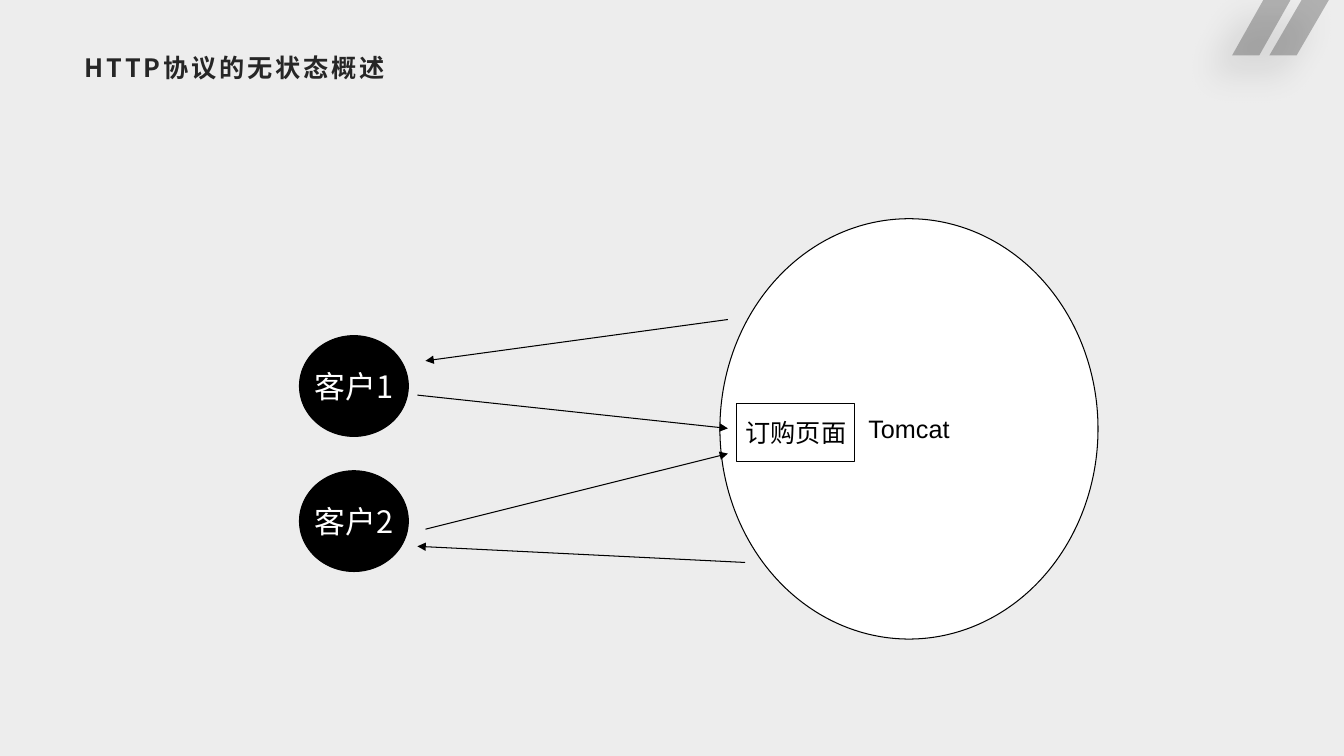
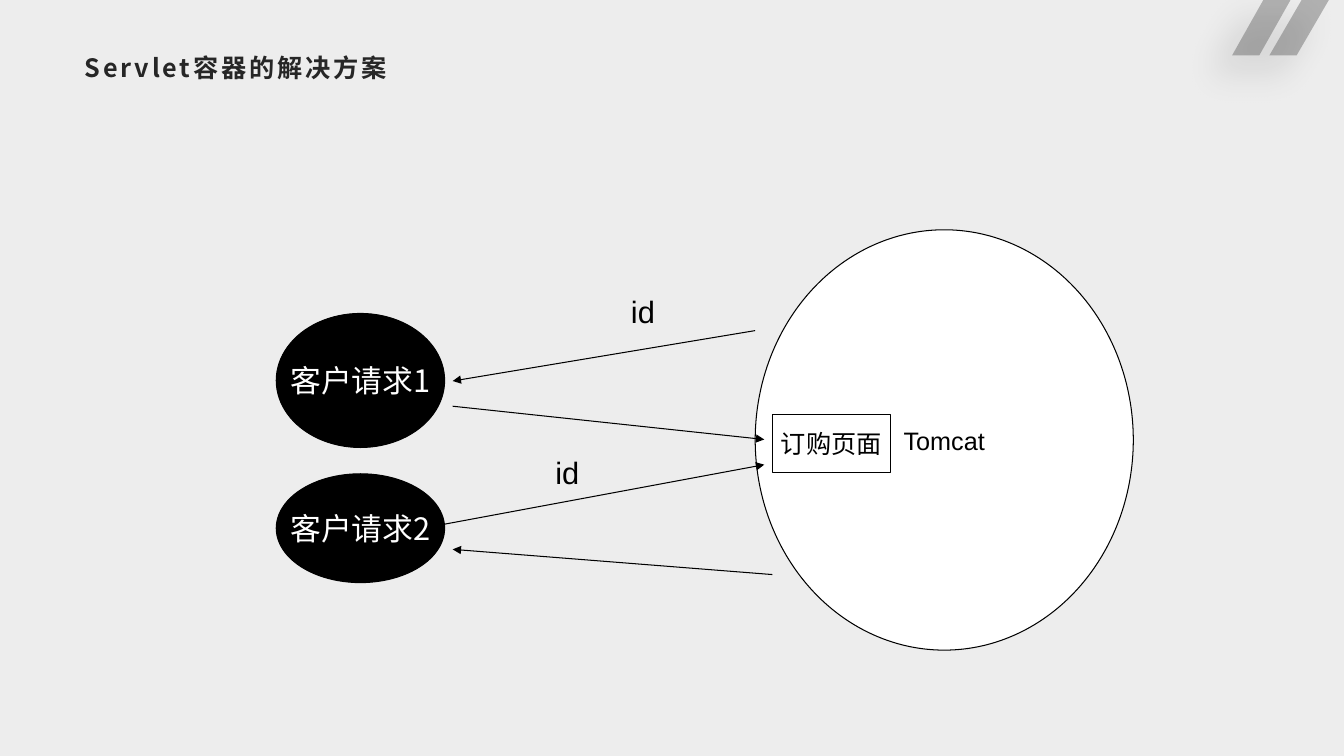
from lxml import etree
from pptx import Presentation
from pptx.dml.color import RGBColor
from pptx.enum import shapes, text
from pptx.oxml import ns
from pptx.util import Inches, Pt

PAPER = RGBColor(0xED, 0xED, 0xED)
INK = RGBColor(0x26, 0x26, 0x26)
BLACK = RGBColor(0, 0, 0)
WHITE = RGBColor(0xFF, 0xFF, 0xFF)
LATIN = "Arial"
CJK = "Noto Sans CJK SC"
OVAL = shapes.MSO_SHAPE.OVAL
RECTANGLE = shapes.MSO_SHAPE.RECTANGLE


def child(parent, tag, **attributes):
    return etree.SubElement(parent, ns.qn(tag), attributes)


class Deck:
    def __init__(self):
        self.prs = Presentation()
        self.prs.slide_width = Inches(13.33)
        self.prs.slide_height = Inches(7.5)
        self.slide = None

    def new_slide(self, title):
        self.slide = self.prs.slides.add_slide(self.prs.slide_layouts[6])
        fill = self.slide.background.fill
        fill.solid()
        fill.fore_color.rgb = PAPER
        self.corner_mark()
        self.title(title)

    def corner_mark(self):
        height = 0.55
        builder = None
        for top_left, bottom_left in ((12.91, 12.59), (12.53, 12.22)):
            outline = [(top_left, 0), (top_left + 0.27, 0),
                       (bottom_left + 0.27, height), (bottom_left, height)]
            points = [(Inches(x), Inches(y)) for x, y in outline]
            if builder is None:
                builder = self.slide.shapes.build_freeform(*points[0])
            else:
                builder.move_to(*points[0])
            builder.add_line_segments(points[1:], close=True)
        stripes = builder.convert_to_shape()
        stripes.fill.solid()
        stripes.fill.fore_color.rgb = INK
        stripes.line.fill.background()
        stripes.shadow.inherit = False
        properties = stripes.element.spPr
        child(properties.find(".//" + ns.qn("a:srgbClr")), "a:alpha", val="30000")
        shadow = child(properties.find(ns.qn("a:effectLst")), "a:outerShdw",
                       blurRad=str(Pt(26)), dist=str(Pt(19)), dir=str(135 * 60000),
                       algn="tr", rotWithShape="0")
        child(child(shadow, "a:srgbClr", val=str(BLACK)), "a:alpha", val="40000")

    def set_words(self, shape, words, size, font, color, bold=False, spacing=0):
        shape.text_frame.text = words
        run = shape.text_frame.paragraphs[0].runs[0]
        run.font.size = Pt(size)
        run.font.bold = bold
        run.font.color.rgb = color
        run.font.name = font
        properties = shape.element.find(".//" + ns.qn("a:rPr"))
        child(properties, "a:ea", typeface=CJK)
        if spacing:
            properties.set("spc", str(spacing * 100))

    def title(self, words):
        box = self.slide.shapes.add_textbox(
            Inches(0.73), Inches(0.48), Inches(11.87), Inches(0.48))
        frame = box.text_frame
        frame.word_wrap = True
        frame.margin_left, frame.margin_right = Inches(0.11), Inches(0.08)
        frame.margin_top = frame.margin_bottom = Inches(0.04)
        self.set_words(box, words, 18, CJK, INK, bold=True, spacing=2)

    def label(self, words, left, top):
        box = self.slide.shapes.add_textbox(
            Inches(left), Inches(top), Inches(0.44), Inches(0.47))
        box.text_frame.word_wrap = False
        self.set_words(box, words, 22, LATIN, BLACK)

    def node(self, kind, words, left, top, width, height,
             fill=WHITE, color=BLACK, size=18, font=LATIN):
        shape = self.slide.shapes.add_shape(
            kind, Inches(left), Inches(top), Inches(width), Inches(height))
        shape.shadow.inherit = False
        shape.fill.solid()
        shape.fill.fore_color.rgb = fill
        shape.line.color.rgb = BLACK
        shape.line.width = Pt(0.75)
        frame = shape.text_frame
        frame.word_wrap = False
        frame.vertical_anchor = text.MSO_ANCHOR.MIDDLE
        self.set_words(shape, words, size, font, color)
        frame.paragraphs[0].alignment = text.PP_ALIGN.CENTER

    def server(self, left, top):
        self.node(OVAL, "Tomcat", left, top, 3.75, 4.17)
        self.node(RECTANGLE, "订购页面", left + 0.17, top + 1.83, 1.17, 0.58)

    def client(self, words, left, top, width, height):
        self.node(OVAL, words, left, top, width, height,
                  fill=BLACK, color=WHITE, size=22, font=CJK)

    def arrow(self, start, end):
        connector = self.slide.shapes.add_connector(
            shapes.MSO_CONNECTOR.STRAIGHT, *map(Inches, start + end))
        connector.line.color.rgb = BLACK
        connector.line.width = Pt(0.75)
        properties = connector.element.spPr
        child(properties.find(ns.qn("a:ln")), "a:tailEnd", type="triangle")
        child(properties, "a:effectLst")

    def arrows(self, *routes):
        for start, end in routes:
            self.arrow(start, end)


def main():
    deck = Deck()

    deck.new_slide("HTTP协议的无状态概述")
    deck.server(7.14, 2.17)
    deck.client("客户1", 2.97, 3.33, 1.08, 1)
    deck.client("客户2", 2.97, 4.67, 1.08, 1)
    deck.arrows(((4.14, 3.92), (7.22, 4.25)),
                ((4.22, 5.25), (7.22, 4.5)),
                ((7.39, 5.58), (4.14, 5.42)),
                ((7.22, 3.17), (4.22, 3.58)))

    deck.new_slide("Servlet容器的解决方案")
    deck.server(7.49, 2.28)
    deck.client("客户请求1", 2.74, 3.11, 1.67, 1.33)
    deck.client("客户请求2", 2.74, 4.7, 1.67, 1.08)
    deck.arrows(((4.49, 4.03), (7.58, 4.36)),
                ((4.41, 5.2), (7.58, 4.61)),
                ((7.49, 3.28), (4.49, 3.78)),
                ((7.66, 5.7), (4.49, 5.45)))
    deck.label("id", 6.16, 2.86)
    deck.label("id", 5.41, 4.45)

    deck.prs.save("out.pptx")


if __name__ == "__main__":
    main()
